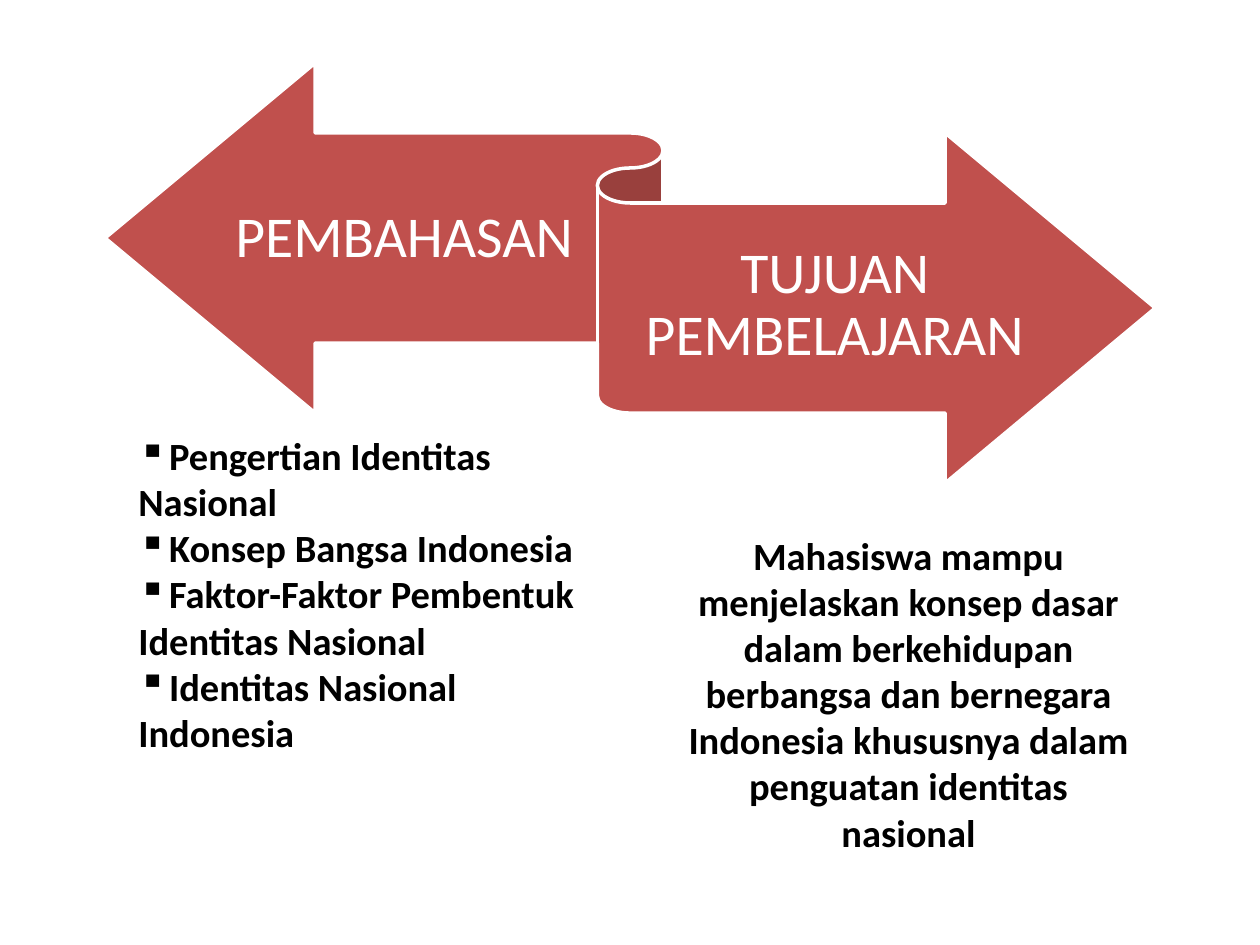
import pptx
import pptx.util
import pptx.dml.color
import pptx.enum.shapes
import pptx.enum.text
import lxml.etree

Cm = pptx.util.Cm
Pt = pptx.util.Pt
ALIGN = pptx.enum.text.PP_ALIGN


def color(value):
    return pptx.dml.color.RGBColor.from_string(value)


def add_text(slide, box, lines, size, fill, bold, alignment):
    shape = slide.shapes.add_textbox(*[Cm(length) for length in box])
    frame = shape.text_frame
    frame.word_wrap = True
    frame.vertical_anchor = pptx.enum.text.MSO_ANCHOR.MIDDLE
    frame.text = "\n".join(lines)
    for paragraph in frame.paragraphs:
        paragraph.alignment = alignment
        paragraph.font.name = "Calibri"
        paragraph.font.size = Pt(size)
        paragraph.font.bold = bold
        paragraph.font.color.rgb = color(fill)
    return frame


presentation = pptx.Presentation()
presentation.slide_width = Cm(25.4)
presentation.slide_height = Cm(19.05)
slide = presentation.slides.add_slide(presentation.slide_layouts[6])

ribbon = slide.shapes.add_shape(
    pptx.enum.shapes.MSO_SHAPE.LEFT_RIGHT_RIBBON,
    Cm(2.12), Cm(1.27), Cm(21.17), Cm(8.47),
)
ribbon.shadow.inherit = False
ribbon.fill.solid()
ribbon.fill.fore_color.rgb = color("C0504D")
ribbon.line.color.rgb = color("FFFFFF")
ribbon.line.width = Pt(2)

headings = [
    ("PEMBAHASAN", (4.66, 2.75, 6.98, 4.15)),
    ("TUJUAN PEMBELAJARAN", (12.7, 4.11, 8.26, 4.15)),
]
for heading, box in headings:
    frame = add_text(slide, box, [heading], 33, "FFFFFF", False, ALIGN.CENTER)
    frame.margin_left = frame.margin_right = 0
    frame.margin_top = Cm(0.33)
    frame.margin_bottom = Cm(0.36)
    frame.paragraphs[0].line_spacing = 0.9

topics = [
    "Pengertian Identitas Nasional",
    "Konsep Bangsa Indonesia",
    "Faktor-Faktor Pembentuk Identitas Nasional",
    "Identitas Nasional Indonesia",
]
topic_lines = ["\t" + topic for topic in topics]
frame = add_text(slide, (2.54, 8.26, 9.53, 7.41), topic_lines, 22, "000000", True, ALIGN.LEFT)
namespace = "{http://schemas.openxmlformats.org/drawingml/2006/main}"
for paragraph in frame.paragraphs:
    properties = paragraph.font._element.getparent()
    properties.set("marL", "0")
    properties.set("indent", "0")
    bullet = lxml.etree.Element(namespace + "buChar", char="▪")
    tabs = lxml.etree.Element(namespace + "tabLst")
    lxml.etree.SubElement(tabs, namespace + "tab", pos=str(Cm(0.62)), algn="l")
    paragraph.font._element.addprevious(bullet)
    paragraph.font._element.addprevious(tabs)

goal = (
    "Mahasiswa mampu menjelaskan konsep dasar dalam berkehidupan berbangsa "
    "dan bernegara Indonesia khususnya dalam penguatan identitas nasional"
)
add_text(slide, (13.55, 9.53, 9.53, 8.89), [goal], 22, "000000", True, ALIGN.CENTER)

presentation.save("out.pptx")
